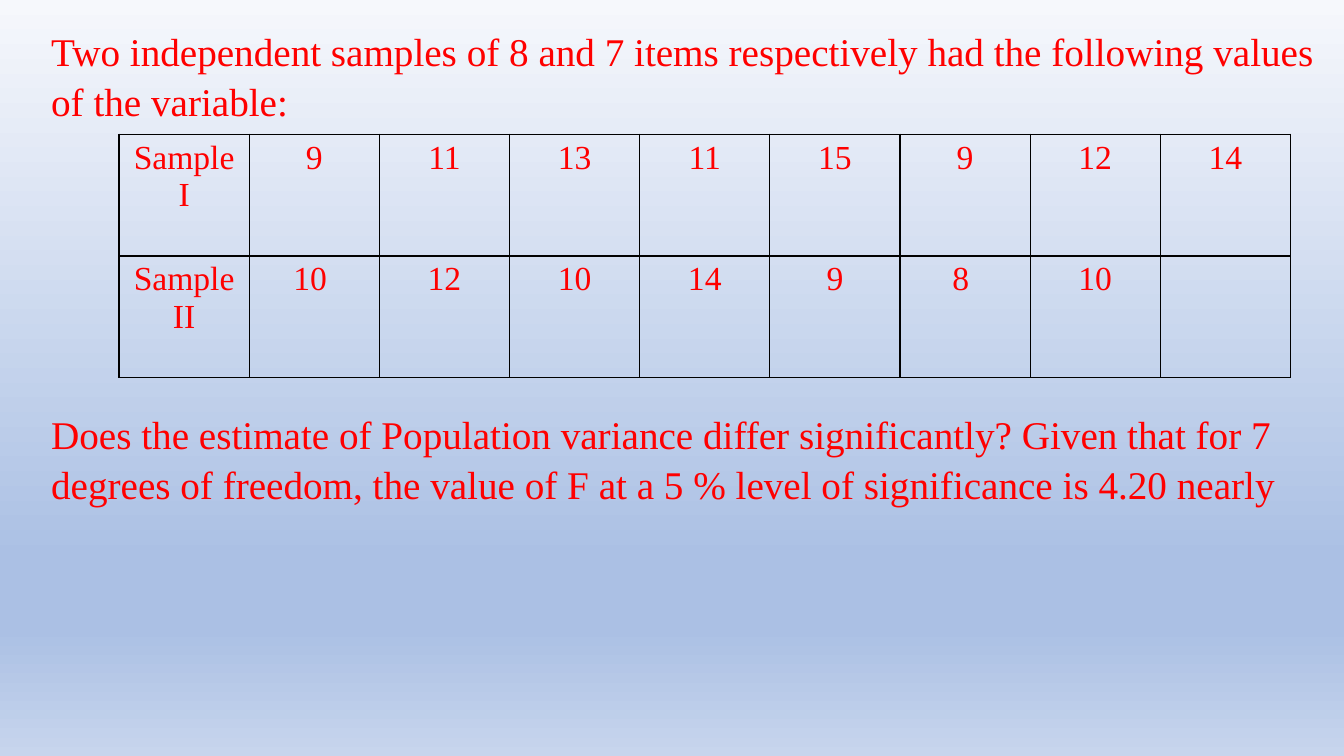
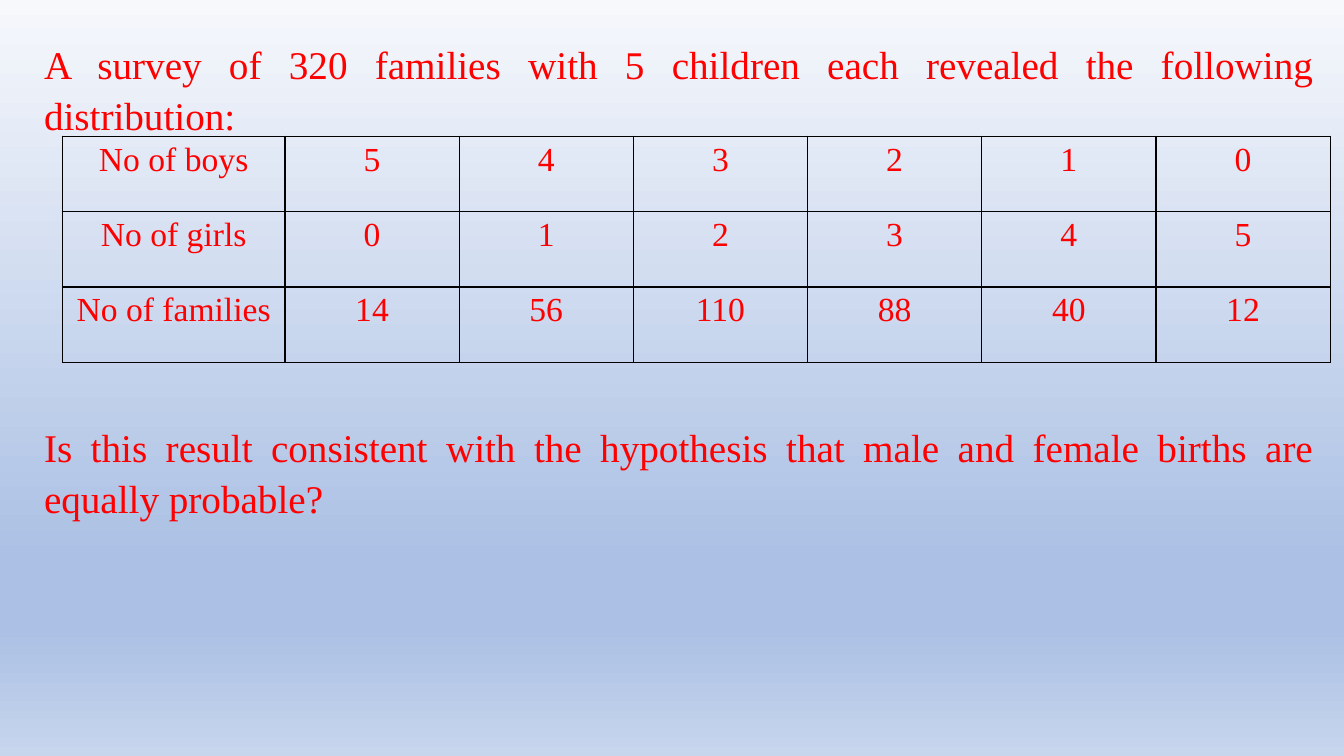
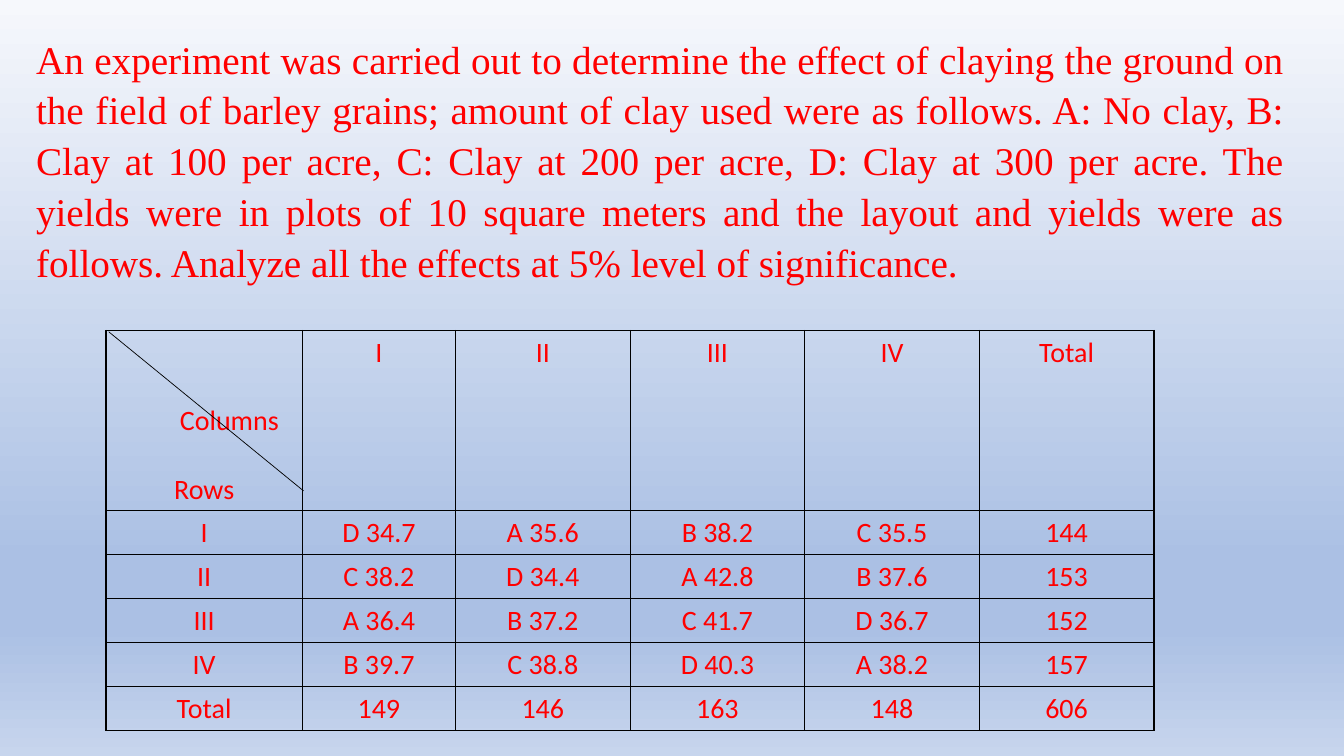
from lxml.etree import SubElement
from pptx import Presentation
from pptx.dml.color import RGBColor
from pptx.enum.shapes import MSO_CONNECTOR
from pptx.enum.text import MSO_AUTO_SIZE, PP_ALIGN
from pptx.oxml.ns import qn
from pptx.util import Cm, Pt

# Shared style
RED, BLACK = "FF0000", "000000"
SERIF, SANS = "Times New Roman", "Calibri"
BACKGROUND = [(0, "F6F8FC"), (74, "ABC0E4"), (83, "ABC0E4"), (100, "C7D5ED")]
TEXT_SIZE, LINE_SPACING = 28, 1.08
TABLE_GAP = 201  # points left between the paragraphs for the table

# Content; lengths in centimetres
SLIDES = [
    {
        "text_box": (1.04, 0.46, 32.56, 13.41),
        "align": PP_ALIGN.LEFT,
        "paragraphs": [
            "Two independent samples of 8 and 7 items respectively had the "
            "following values of the variable:",
            "Does the estimate of Population variance differ significantly? "
            "Given that for 7 degrees of freedom, the value of F at a 5 % "
            "level of significance is 4.20 nearly",
        ],
        "table_at": (3, 3.38),
        "columns": [3.28] * 9,
        "heights": [3.07] * 2,
        "font": (SERIF, 24),
        "rows": [
            ["Sample I", "9", "11", "13", "11", "15", "9", "12", "14"],
            ["Sample II", "10 ", "12", "10", "14", "9", "8 ", "10", ""],
        ],
    },
    {
        "text_box": (0.86, 0.79, 32.49, 13.41),
        "align": PP_ALIGN.JUSTIFY,
        "paragraphs": [
            "A survey of 320 families with 5 children each revealed the "
            "following distribution:",
            "Is this result consistent with the hypothesis that male and "
            "female births are equally probable?",
        ],
        "table_at": (1.57, 3.43),
        "columns": [5.61] + [4.39] * 6,
        "heights": [1.9] * 3,
        "font": (SERIF, 24),
        "rows": [
            ["No of boys", "5", "4", "3", "2", "1", "0"],
            ["No of girls", "0", "1", "2", "3", "4", "5"],
            ["No of families", "14", "56", "110", "88", "40", "12"],
        ],
    },
    {
        "text_box": (0.66, 0.66, 31.95, 8.64),
        "align": PP_ALIGN.JUSTIFY,
        "paragraphs": [
            "An experiment was carried out to determine the effect of claying "
            "the ground on the field of barley grains; amount of clay used "
            "were as follows. A: No clay, B: Clay at 100 per acre, C: Clay at "
            "200 per acre, D: Clay at 300 per acre. The yields were in plots "
            "of 10 square meters and the layout and yields were as follows. "
            "Analyze all the effects at 5% level of significance.",
        ],
        "table_at": (2.67, 8.33),
        "columns": [4.95, 3.86] + [4.4] * 4,
        "heights": [4.5] + [1.11] * 5,
        "font": (SANS, 20),
        "rows": [
            ["Columns\nRows", "I", "II", "III", "IV", "Total"],
            ["I", "D 34.7", "A 35.6", "B 38.2", "C 35.5", "144"],
            ["II", "C 38.2", "D 34.4", "A 42.8", "B 37.6", "153"],
            ["III", "A 36.4", "B 37.2", "C 41.7", "D 36.7", "152"],
            ["IV", "B 39.7", "C 38.8", "D 40.3", "A 38.2", "157"],
            ["Total", "149", "146", "163", "148", "606"],
        ],
    },
]
DIAGONAL = (2.74, 8.36, 7.65, 12.37)


def color(value):
    return RGBColor.from_string(value)


def add_run(paragraph, text, font, size):
    run = paragraph.add_run()
    run.text = text
    run.font.name, run.font.size = font, Pt(size)
    run.font.color.rgb = color(RED)


def set_background(master):
    fill = master.background.fill
    fill.gradient()
    fill.gradient_angle = 270
    stops = next(master.element.iter(qn("a:gsLst")))
    for stop in list(stops):
        stops.remove(stop)
    for position, value in BACKGROUND:
        stop = SubElement(stops, qn("a:gs"), pos=str(position * 1000))
        SubElement(stop, qn("a:srgbClr"), val=value)


def add_question(slide, content):
    box = slide.shapes.add_textbox(*map(Cm, content["text_box"]))
    frame = box.text_frame
    frame.word_wrap = True
    frame.auto_size = MSO_AUTO_SIZE.SHAPE_TO_FIT_TEXT
    for index, text in enumerate(content["paragraphs"]):
        paragraph = frame.add_paragraph() if index else frame.paragraphs[0]
        paragraph.alignment = content["align"]
        paragraph.line_spacing = LINE_SPACING
        if index:
            paragraph.space_before = Pt(TABLE_GAP)
        add_run(paragraph, text, SERIF, TEXT_SIZE)


def set_borders(cell):
    properties = cell._tc.get_or_add_tcPr()
    for position, side in enumerate(("a:lnL", "a:lnR", "a:lnT", "a:lnB")):
        line = SubElement(properties, qn(side), w=str(Pt(1)))
        SubElement(SubElement(line, qn("a:solidFill")), qn("a:srgbClr"), val=BLACK)
        properties.insert(position, line)


def add_data_table(slide, content):
    columns, heights, rows = content["columns"], content["heights"], content["rows"]
    left, top = content["table_at"]
    table = slide.shapes.add_table(
        len(rows), len(columns), Cm(left), Cm(top), Cm(sum(columns)), Cm(sum(heights))
    ).table
    table.first_row = table.horz_banding = False
    for column, width in zip(table.columns, columns):
        column.width = Cm(width)
    for row, height, values in zip(table.rows, heights, rows):
        row.height = Cm(height)
        for cell, value in zip(row.cells, values):
            cell.fill.background()
            set_borders(cell)
            frame = cell.text_frame
            for index, text in enumerate(value.split("\n")):
                paragraph = frame.add_paragraph() if index else frame.paragraphs[0]
                paragraph.alignment = PP_ALIGN.CENTER
                if text:
                    add_run(paragraph, text, *content["font"])
    return table


def format_corner(slide, cell):
    """Offset the two labels and draw the diagonal between them."""
    cell.margin_top = Cm(1.85)
    columns_label, rows_label = cell.text_frame.paragraphs
    columns_label._p.get_or_add_pPr().set("marL", str(Pt(36)))
    rows_label.space_before = Pt(24.4)
    line = slide.shapes.add_connector(MSO_CONNECTOR.STRAIGHT, *map(Cm, DIAGONAL))
    line.line.color.rgb = color(BLACK)
    line.line.width = Pt(0.5)
    SubElement(line._element.spPr, qn("a:effectLst"))


def main():
    presentation = Presentation()
    presentation.slide_width, presentation.slide_height = Cm(33.87), Cm(19.05)
    set_background(presentation.slide_master)
    blank = presentation.slide_layouts.get_by_name("Blank")
    for content in SLIDES:
        slide = presentation.slides.add_slide(blank)
        add_question(slide, content)
        table = add_data_table(slide, content)
    # Only the last table has a split corner cell
    format_corner(slide, table.cell(0, 0))
    presentation.save("out.pptx")


if __name__ == "__main__":
    main()
